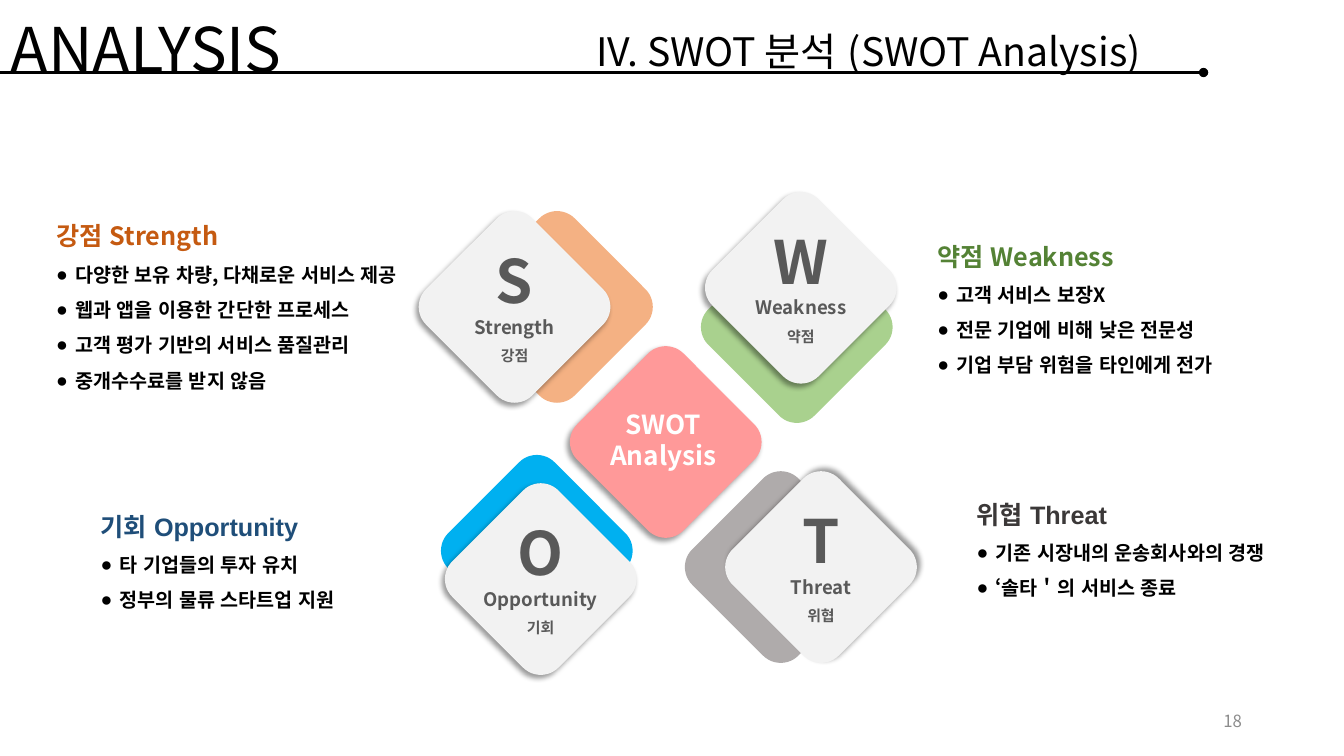
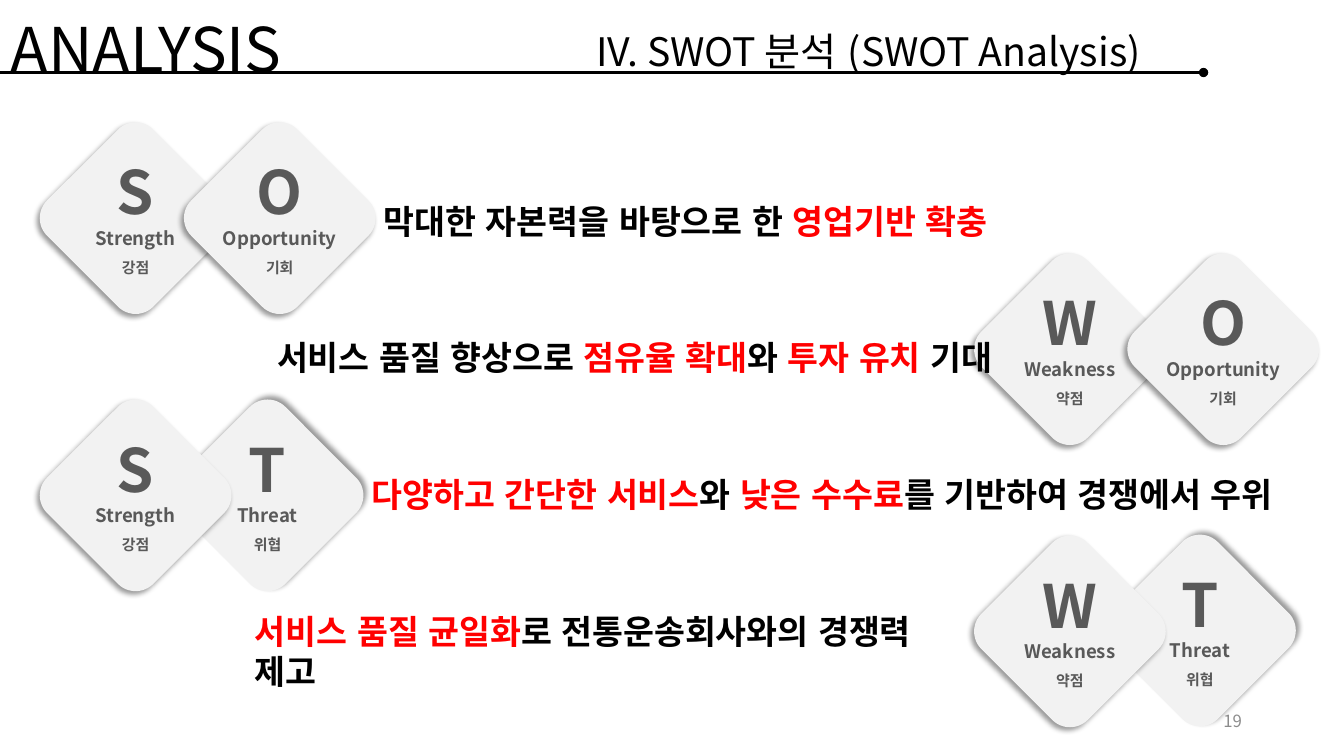
from pptx import Presentation, util as u
from pptx.dml.color import RGBColor
from pptx.enum import lang, shapes, text
from pptx.oxml.ns import qn
from lxml import etree

Pt = u.Pt
COLORS = {
    "ink": "000000", "accent": "FF0000", "white": "FFFFFF", "page": "8C8C8C",
    "tile": "F2F2F2", "label": "595959", "center": "FF9999",
    "S": "F4B183", "W": "A9D18E", "O": "00B0F0", "T": "AFABAB",
    "S_head": "C55A11", "W_head": "548235", "O_head": "1F4E79", "T_head": "3B3838",
}
FONT = "Noto Sans CJK KR"
LEFT, CENTER, RIGHT = text.PP_ALIGN.LEFT, text.PP_ALIGN.CENTER, text.PP_ALIGN.RIGHT
TILE = 107.3
LABEL_WIDTH = 129.6
NAMES = {
    "S": ("Strength", "강점"),
    "W": ("Weakness", "약점"),
    "O": ("Opportunity", "기회"),
    "T": ("Threat", "위협"),
}
SHADOW_ANGLES = {"S": 135, "W": 135, "O": 135, "T": 315}

QUADRANTS = [
    ("S", (344.2, 165.6), (313.9, 165.6)),
    ("W", (515.5, 180), (518.4, 151.9)),
    ("T", (504, 351.4), (532.8, 351.4)),
    ("O", (329.8, 339.8), (332.6, 360)),
]
FACTORS = [
    ("S", (33.1, 143.3), 283.7, FONT, [
        "다양한 보유 차량, 다채로운 서비스 제공",
        "웹과 앱을 이용한 간단한 프로세스",
        "고객 평가 기반의 서비스 품질관리",
        "중개수수료를 받지 않음"]),
    ("O", (64.8, 350.6), 246.2, "Arial", [
        "타 기업들의 투자 유치",
        "정부의 물류 스타트업 지원"]),
    ("W", (662.4, 157.7), 246.2, FONT, [
        "고객 서비스 보장X",
        "전문 기업에 비해 낮은 전문성",
        "기업 부담 위험을 타인에게 전가"]),
    ("T", (690.5, 342), 246.2, "Arial", [
        "기존 시장내의 운송회사와의 경쟁",
        "‘솔타＇의 서비스 종료"]),
]
PAIRS = [
    ("S", 43.2, 102.2), ("O", 146.2, 102.2),
    ("W", 710.6, 195.8), ("O", 820.1, 195.8),
    ("T", 137.5, 300.2), ("S", 43.2, 300.2),
    ("T", 803.5, 396.7), ("W", 710.6, 397.4),
]
STRATEGIES = [
    (267.1, 465.8, [("막대한 자본력을 바탕으로 한 ", "ink"), ("영업기반 확충", "accent")]),
    (190.8, 532.1, [("서비스 품질 향상으로 ", "ink"), ("점유율 확대", "accent"),
                    ("와 ", "ink"), ("투자 유치 ", "accent"), ("기대", "ink")]),
    (258.5, 663.8, [("다양하고 간단한 서비스", "accent"), ("와 ", "ink"),
                    ("낮은 수수료", "accent"), ("를 기반하여 경쟁에서 우위", "ink")]),
    (175, 524.2, [("서비스 품질 균일화", "accent"),
                  ("로 전통운송회사와의 경쟁력 제고", "ink")]),
]


def rgb(name):
    return RGBColor.from_string(COLORS[name])


def add_node(parent, tag, **attributes):
    node = etree.SubElement(parent, qn(tag))
    for key, value in attributes.items():
        node.set(key, str(value))
    return node


def add_run(paragraph, words, size, color, bold=False, font=FONT):
    run = paragraph.add_run()
    run.text = words
    run.font.size = Pt(size)
    run.font.bold = bold
    run.font.color.rgb = rgb(color)
    run.font.name = font
    run.font.language_id = lang.MSO_LANGUAGE_ID.KOREAN
    add_node(run.font._element, "a:ea", typeface=FONT)


def add_textbox(slide, left, top, width, height, grow=True):
    shape = slide.shapes.add_textbox(Pt(left), Pt(top), Pt(width), Pt(height))
    frame = shape.text_frame
    frame.word_wrap = True
    if grow:
        frame.auto_size = text.MSO_AUTO_SIZE.SHAPE_TO_FIT_TEXT
    return frame


def next_paragraph(frame, align=LEFT, spacing=None):
    first = frame.paragraphs[0]
    paragraph = frame.add_paragraph() if first.runs else first
    paragraph.alignment = align
    if spacing:
        paragraph.line_spacing = spacing
    return paragraph


def add_line_of_text(slide, words, box, size, color="ink", bold=False, align=LEFT):
    frame = add_textbox(slide, *box)
    add_run(next_paragraph(frame, align), words, size, color, bold)


def add_diamond(slide, left, top, color, shadow_angle=None):
    shape = slide.shapes.add_shape(
        shapes.MSO_SHAPE.ROUNDED_RECTANGLE, Pt(left), Pt(top), Pt(TILE), Pt(TILE))
    shape.rotation = 45
    shape.fill.solid()
    shape.fill.fore_color.rgb = rgb(color)
    shape.line.fill.background()
    shape.shadow.inherit = False
    if shadow_angle is not None:
        effects = shape.element.spPr.find(qn("a:effectLst"))
        shadow = add_node(effects, "a:outerShdw", blurRad=Pt(4), dist=Pt(3),
                          dir=shadow_angle * 60000, algn="ctr", rotWithShape=0)
        shade = add_node(shadow, "a:srgbClr", val=COLORS["ink"])
        add_node(shade, "a:alpha", val=40000)


def add_letter_tile(slide, letter, left, top):
    add_diamond(slide, left, top, "tile", SHADOW_ANGLES[letter])
    frame = add_textbox(slide, left + (TILE - LABEL_WIDTH) / 2, top + 5, LABEL_WIDTH, 94.3)
    english, korean = NAMES[letter]
    for words, size, spacing in ((letter, 42.7, None), (english, 13.3, None), (korean, 10.7, 1.5)):
        add_run(next_paragraph(frame, CENTER, spacing), words, size, "label", True)


def add_factor_list(slide, letter, corner, width, heading_font, points):
    frame = add_textbox(slide, *corner, width, 39.5 + 25.6 * len(points))
    english, korean = NAMES[letter]
    add_run(next_paragraph(frame, spacing=1.5), f"{korean} {english}", 18,
            letter + "_head", True, heading_font)
    for point in points:
        paragraph = next_paragraph(frame, spacing=1.5)
        properties = paragraph._p.get_or_add_pPr()
        properties.set("marL", str(Pt(13.5)))
        properties.set("indent", str(-Pt(13.5)))
        add_node(properties, "a:buFont", typeface="Arial")
        add_node(properties, "a:buChar", char="●")
        add_run(paragraph, point, 14, "ink", True)


def add_frame(slide, page_number):
    rule = slide.shapes.add_connector(
        shapes.MSO_CONNECTOR.STRAIGHT, Pt(-2), Pt(51.8), Pt(859.7), Pt(51.8))
    rule.line.color.rgb = rgb("ink")
    rule.line.width = Pt(2.25)
    add_node(rule.line._get_or_add_ln(), "a:tailEnd", type="oval")
    add_node(rule.element.spPr, "a:effectLst")
    add_line_of_text(slide, "ANALYSIS", (0.7, 4.3, 344.9, 60.5), 44)
    add_line_of_text(slide, "IV. SWOT 분석 (SWOT Analysis)", (419, 15.8, 440.6, 41), 28)
    frame = add_textbox(slide, 678.2, 500.4, 216, 28.8, grow=False)
    frame.vertical_anchor = text.MSO_ANCHOR.MIDDLE
    add_run(next_paragraph(frame, RIGHT), str(page_number), 12, "page")


def fill_matrix(slide):
    for letter, back, front in QUADRANTS:
        add_diamond(slide, *back, letter)
        add_letter_tile(slide, letter, *front)
    add_diamond(slide, 421.9, 262.1, "center", 135)
    add_line_of_text(slide, "SWOT Analysis", (409, 288, LABEL_WIDTH, 52.6),
                     18.7, "white", True, CENTER)
    for factor in FACTORS:
        add_factor_list(slide, *factor)


def fill_strategies(slide):
    for pair in PAIRS:
        add_letter_tile(slide, *pair)
    for row, (left, width, runs) in enumerate(STRATEGIES):
        frame = add_textbox(slide, left, 139.7 + 97.6 * row, width, 36)
        paragraph = next_paragraph(frame)
        for words, color in runs:
            add_run(paragraph, words, 24, color, True)


def main():
    presentation = Presentation()
    presentation.slide_width, presentation.slide_height = Pt(960), Pt(540)
    for page_number, fill in enumerate((fill_matrix, fill_strategies), 18):
        slide = presentation.slides.add_slide(presentation.slide_layouts[6])
        fill(slide)
        add_frame(slide, page_number)
    presentation.save("out.pptx")


if __name__ == "__main__":
    main()
